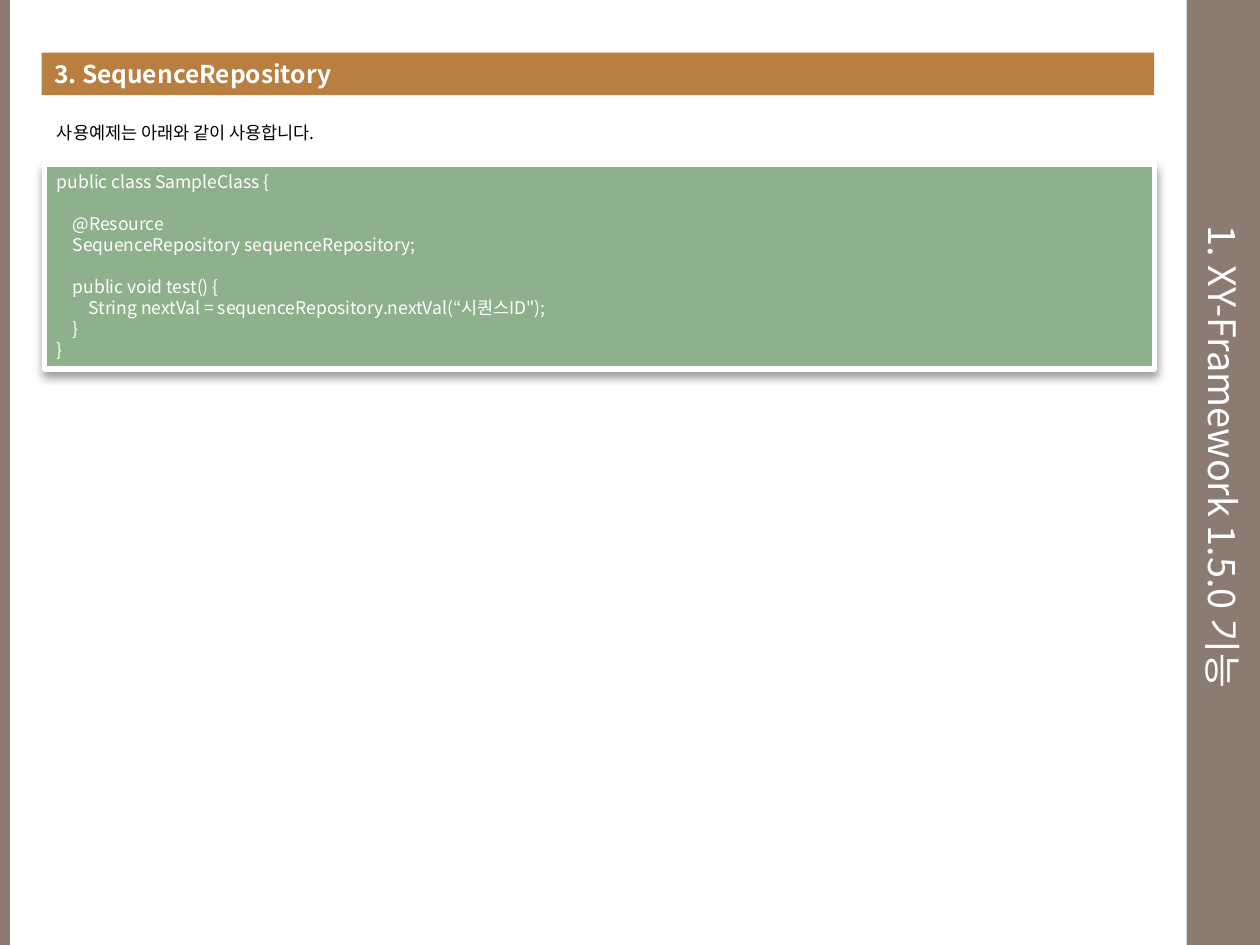
from lxml import etree
from pptx import Presentation
from pptx.dml.color import RGBColor
from pptx.enum.shapes import MSO_SHAPE
from pptx.enum.text import MSO_ANCHOR, PP_ALIGN
from pptx.oxml.ns import qn
from pptx.util import Cm, Pt

RECT = MSO_SHAPE.RECTANGLE
TOP, MIDDLE = MSO_ANCHOR.TOP, MSO_ANCHOR.MIDDLE
LEFT, CENTER = PP_ALIGN.LEFT, PP_ALIGN.CENTER


def rgb(value):
    """Turn a hex string into a colour."""
    return RGBColor.from_string(value)


class Deck:
    """Holds the style and the current slide."""

    font = "Noto Sans CJK KR"
    white, black = "FFFFFF", "000000"
    brown, orange, green = "8C7B70", "B87F40", "8FB08C"
    indent = Cm(0.32)

    def __init__(self, prs):
        """Add a blank slide to the presentation."""
        self.slide = prs.slides.add_slide(prs.slide_layouts[6])

    def box(self, x, y, w, h, fill):
        """Draw a filled rectangle without outline."""
        s = self.slide.shapes.add_shape(RECT, Cm(x), Cm(y), Cm(w), Cm(h))
        s.shadow.inherit = False
        s.fill.solid()
        s.fill.fore_color.rgb = rgb(fill)
        s.line.fill.background()
        return s

    def label(self, x, y, w, h, text, size, color, **options):
        """Place a text box with a single line."""
        s = self.slide.shapes.add_textbox(Cm(x), Cm(y), Cm(w), Cm(h))
        self.set_text(s, [(0, 0, text)], size, color, **options)
        return s

    def set_text(self, s, lines, size, color, bold=False, anchor=TOP,
                 align=LEFT, pitch=None, wrap=True):
        """Fill a shape with lines of (indent level, space before, text)."""
        tf = s.text_frame
        tf.word_wrap = wrap
        tf.vertical_anchor = anchor
        for i, (level, before, text) in enumerate(lines):
            p = tf.add_paragraph() if i else tf.paragraphs[0]
            p.text = text
            p.alignment = align
            p.space_before = Pt(before)
            if pitch:
                p.line_spacing = Pt(pitch)
            p.font.size = Pt(size)
            p.font.bold = bold
            p.font.color.rgb = rgb(color)
            p.font.name = self.font
            pPr = p._p.get_or_add_pPr()
            pPr.set("marL", str(level * self.indent))
            etree.SubElement(pPr.find(qn("a:defRPr")), qn("a:ea"),
                             typeface=self.font)

    def frame(self, s, color, width):
        """Outline a shape and drop a soft shadow below it."""
        s.line.color.rgb = rgb(color)
        s.line.width = Pt(width)
        effects = s._element.spPr.find(qn("a:effectLst"))
        shadow = etree.SubElement(
            effects, qn("a:outerShdw"), blurRad=str(Pt(5.2)),
            dist=str(Pt(3)), dir="5400000", rotWithShape="0")
        tint = etree.SubElement(shadow, qn("a:srgbClr"), val=self.black)
        etree.SubElement(tint, qn("a:alpha"), val="40000")


prs = Presentation()
prs.slide_width, prs.slide_height = Cm(25.4), Cm(19.05)
deck = Deck(prs)

deck.box(23.92, 0, 1.48, 19.05, deck.brown)
deck.box(0, 0, 0.2, 19.05, deck.brown)

heading = deck.box(0.84, 1.06, 22.43, 0.86, deck.orange)
heading.text_frame.margin_top = heading.text_frame.margin_bottom = 0
deck.set_text(heading, [(0, 0, "3. SequenceRepository")], 14, deck.white,
              bold=True, anchor=MIDDLE)

code = deck.box(0.9, 3.32, 22.37, 4.12, deck.green)
deck.frame(code, deck.white, 3)
deck.set_text(code, [
    (0, 0, "public class SampleClass {"),
    (1, 12, "@Resource"),
    (1, 0, "SequenceRepository sequenceRepository;"),
    (1, 12, "public void test() {"),
    (2, 0, "String nextVal = sequenceRepository.nextVal(“시퀀스ID\");"),
    (1, 0, "}"),
    (0, 0, "}"),
], 10, deck.white, pitch=12)

deck.label(0.9, 2.34, 6.3, 0.68, "사용예제는 아래와 같이 사용합니다.", 10,
           deck.black, pitch=12, wrap=False)

title = deck.label(23.92, 1.06, 1.48, 16.3, "1. XY-Framework 1.5.0 기능", 21.6,
                   deck.white, anchor=MIDDLE, align=CENTER)
title.text_frame._txBody.bodyPr.set("vert", "vert")

prs.save("out.pptx")
